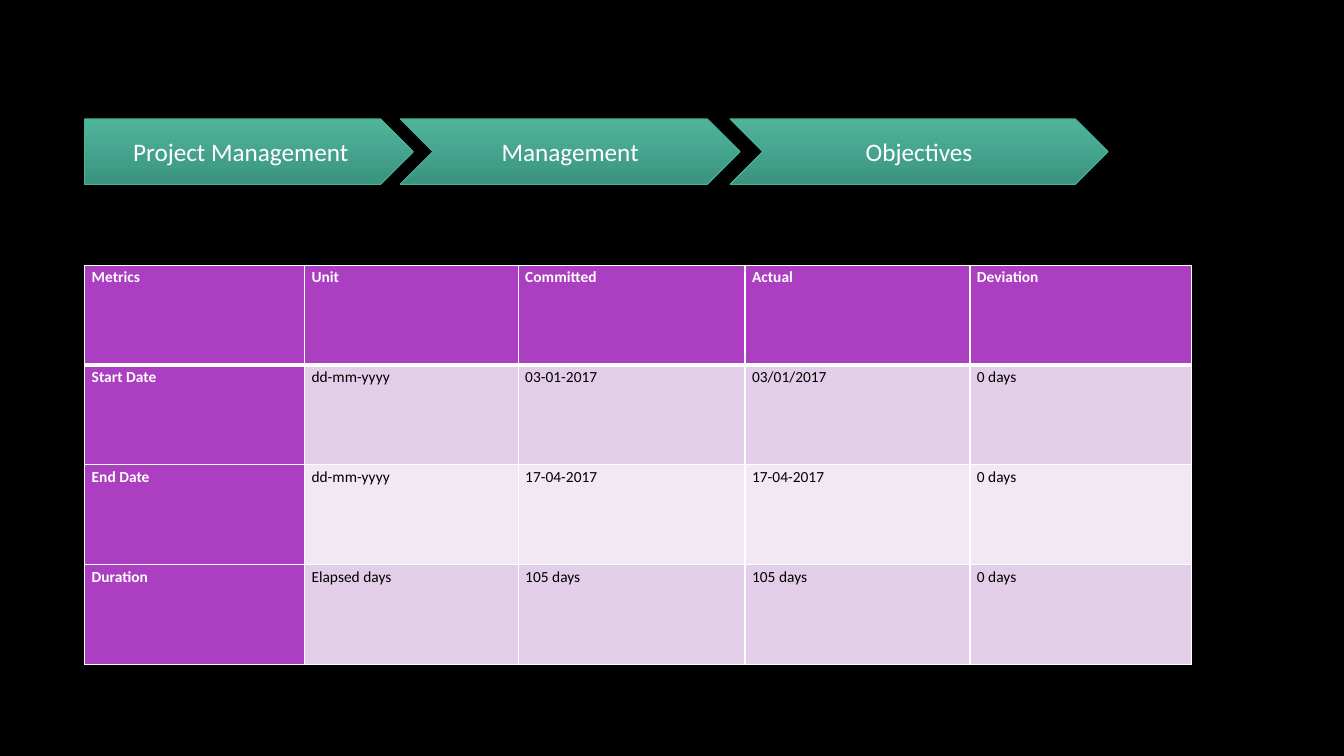
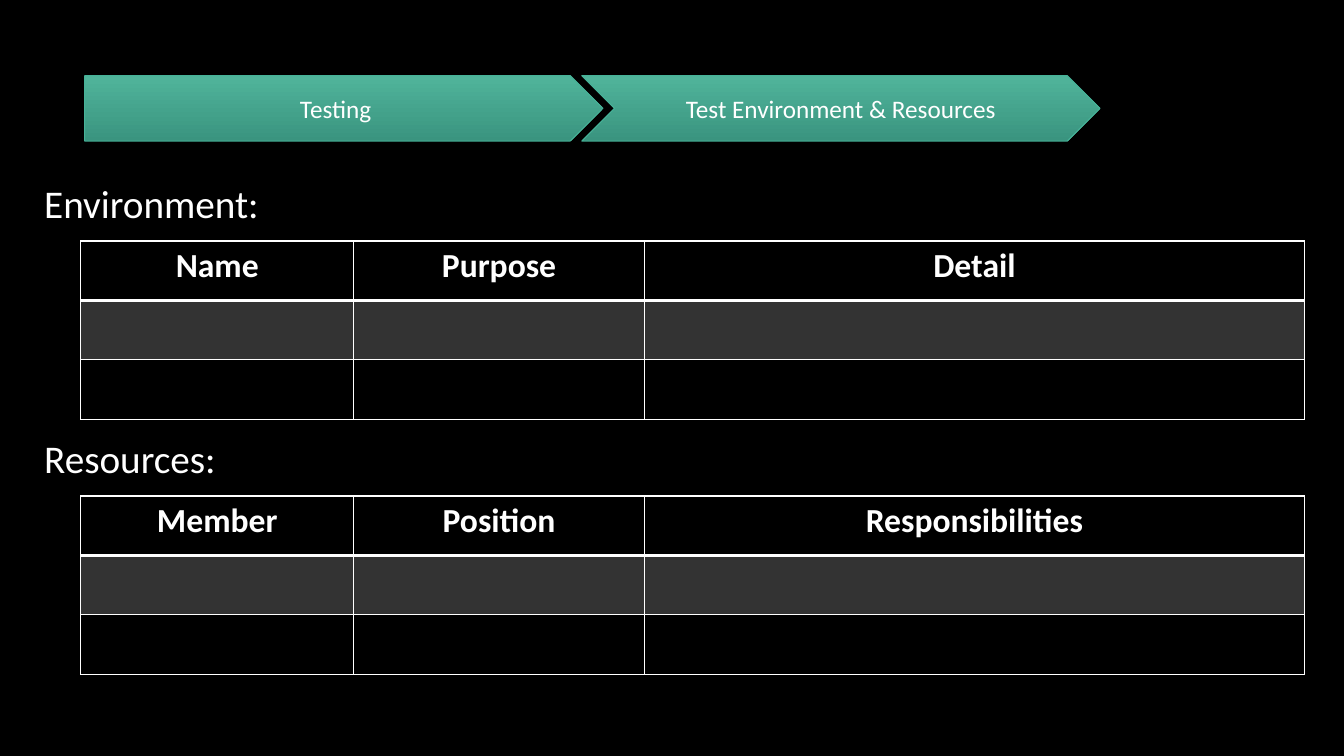
from dataclasses import dataclass

from lxml.etree import SubElement
from pptx import Presentation
from pptx.dml.color import RGBColor
from pptx.enum.shapes import MSO_SHAPE as Shape
from pptx.enum.text import MSO_ANCHOR as Anchor, PP_ALIGN as Align
from pptx.oxml.ns import qn
from pptx.util import Emu, Pt

EMU_PER_PX = 9144  # 100 px to the inch
BLANK_LAYOUT = 6


@dataclass(frozen=True)
class Theme:
    font: str = "Calibri"
    page: str = "000000"
    light: str = "FFFFFF"
    dark: str = "000000"
    step_top: str = "50B49B"
    step_bottom: str = "3A947F"
    step_line: str = "46B298"
    purple: str = "AC3EC1"
    purple_band: str = "E3CEE9"
    purple_pale: str = "F1E8F4"
    grey_band: str = "333333"
    step_size: int = 18
    label_size: int = 28
    metric_size: int = 11
    heading_size: int = 24


THEME = Theme()

# Breadcrumb steps: text, left, width
PROJECT_STEPS = [
    ("Project Management", 84, 326),
    ("Management", 397, 337),
    ("Objectives", 724, 375),
]
TESTING_STEPS = [
    ("Testing", 84, 514),
    ("Test Environment & Resources", 577, 514),
]
STEP_HEIGHT = 65

METRICS = [
    ("Metrics", "Unit", "Committed", "Actual", "Deviation"),
    ("Start Date", "dd-mm-yyyy", "03-01-2017", "03/01/2017", "0 days"),
    ("End Date", "dd-mm-yyyy", "17-04-2017", "17-04-2017", "0 days"),
    ("Duration", "Elapsed days", "105 days", "105 days", "0 days"),
]
METRIC_COLUMNS = [218, 212, 225, 223, 220]
METRIC_ROW = 99

# Sections: label, label top, table top, column headings
SECTIONS = [
    ("Environment:", 157, 239, ("Name", "Purpose", "Detail")),
    ("Resources:", 410, 492, ("Member", "Position", "Responsibilities")),
]
SECTION_COLUMNS = [271, 288, 655]
SECTION_ROW = 59
EMPTY_ROWS = 2


def px(length):
    return Emu(length * EMU_PER_PX)


def rgb(value):
    return RGBColor.from_string(value)


def set_all(target, values):
    for name, value in values.items():
        setattr(target, name, value)


def write(frame, text, size, color=THEME.light, bold=False, **paragraph_format):
    para = frame.paragraphs[0]
    set_all(para, paragraph_format)
    span = para.add_run()
    span.text = text
    set_all(span.font, {"name": THEME.font, "size": Pt(size), "bold": bold})
    span.font.color.rgb = rgb(color)


def add_page(deck):
    page = deck.slides.add_slide(deck.slide_layouts[BLANK_LAYOUT])
    page.background.fill.solid()
    page.background.fill.fore_color.rgb = rgb(THEME.page)
    return page


def add_breadcrumb(page, steps, top):
    for index, (text, left, width) in enumerate(steps):
        kind = Shape.CHEVRON if index else Shape.PENTAGON
        step = page.shapes.add_shape(
            kind, px(left), px(top), px(width), px(STEP_HEIGHT))
        step.shadow.inherit = False
        step.fill.gradient()
        step.fill.gradient_angle = 270
        for stop, color in zip(step.fill.gradient_stops,
                               (THEME.step_top, THEME.step_bottom)):
            stop.color.rgb = rgb(color)
        step.line.color.rgb = rgb(THEME.step_line)
        step.line.width = Pt(0.75)
        step.text_frame.vertical_anchor = Anchor.MIDDLE
        write(step.text_frame, text, THEME.step_size, alignment=Align.CENTER)


def add_label(page, text, top):
    box = page.shapes.add_textbox(px(34), px(top), px(249), px(89))
    set_all(box.text_frame, {"word_wrap": True, "vertical_anchor": Anchor.MIDDLE})
    write(box.text_frame, text, THEME.label_size, space_after=Pt(10))


def set_borders(cell, top, bottom):
    """Draw the four edges; top and bottom are widths in points."""
    properties = cell._tc.get_or_add_tcPr()
    edges = {"a:lnL": 1, "a:lnR": 1, "a:lnT": top, "a:lnB": bottom}
    for index, (tag, width) in enumerate(edges.items()):
        edge = SubElement(properties, qn(tag), w=str(Pt(width)))
        fill = SubElement(edge, qn("a:solidFill"))
        SubElement(fill, qn("a:srgbClr"), val=THEME.light)
        properties.insert(index, edge)  # edges must come before the cell fill


def add_grid(page, left, top, columns, row_height, row_count, header_rule, style_cell):
    """Add a bordered table; style_cell(cell, row, column) fills in each cell."""
    table = page.shapes.add_table(
        row_count, len(columns), px(left), px(top),
        px(sum(columns)), px(row_height * row_count)).table
    set_all(table, {"first_row": False, "horz_banding": False})
    for column, width in zip(table.columns, columns):
        column.width = px(width)
    for row_index, row in enumerate(table.rows):
        row.height = px(row_height)
        for column_index, cell in enumerate(row.cells):
            style_cell(cell, row_index, column_index)
            set_borders(cell,
                        top=header_rule if row_index == 1 else 1,
                        bottom=header_rule if row_index == 0 else 1)


def style_metric(cell, row, column):
    is_heading = row == 0 or column == 0
    band = THEME.purple_band if row % 2 else THEME.purple_pale
    cell.fill.solid()
    cell.fill.fore_color.rgb = rgb(THEME.purple if is_heading else band)
    set_all(cell, {"margin_left": px(7), "margin_right": px(7),
                   "margin_top": 0, "margin_bottom": 0})
    write(cell.text_frame, METRICS[row][column], THEME.metric_size,
          THEME.light if is_heading else THEME.dark, is_heading,
          line_spacing=1.15)


def add_section(page, label, label_top, table_top, headings):
    def style_section(cell, row, column):
        if row == 1:
            cell.fill.solid()
            cell.fill.fore_color.rgb = rgb(THEME.grey_band)
        else:
            cell.fill.background()
        if row == 0:
            write(cell.text_frame, headings[column], THEME.heading_size,
                  bold=True, alignment=Align.CENTER)

    add_label(page, label, label_top)
    add_grid(page, 80, table_top, SECTION_COLUMNS, SECTION_ROW,
             1 + EMPTY_ROWS, 2, style_section)


def main():
    deck = Presentation()
    set_all(deck, {"slide_width": px(1333), "slide_height": px(750)})

    objectives = add_page(deck)
    add_grid(objectives, 84, 263, METRIC_COLUMNS, METRIC_ROW,
             len(METRICS), 3, style_metric)
    add_breadcrumb(objectives, PROJECT_STEPS, 118)

    testing = add_page(deck)
    add_breadcrumb(testing, TESTING_STEPS, 75)
    for section in SECTIONS:
        add_section(testing, *section)

    deck.save("out.pptx")


if __name__ == "__main__":
    main()
